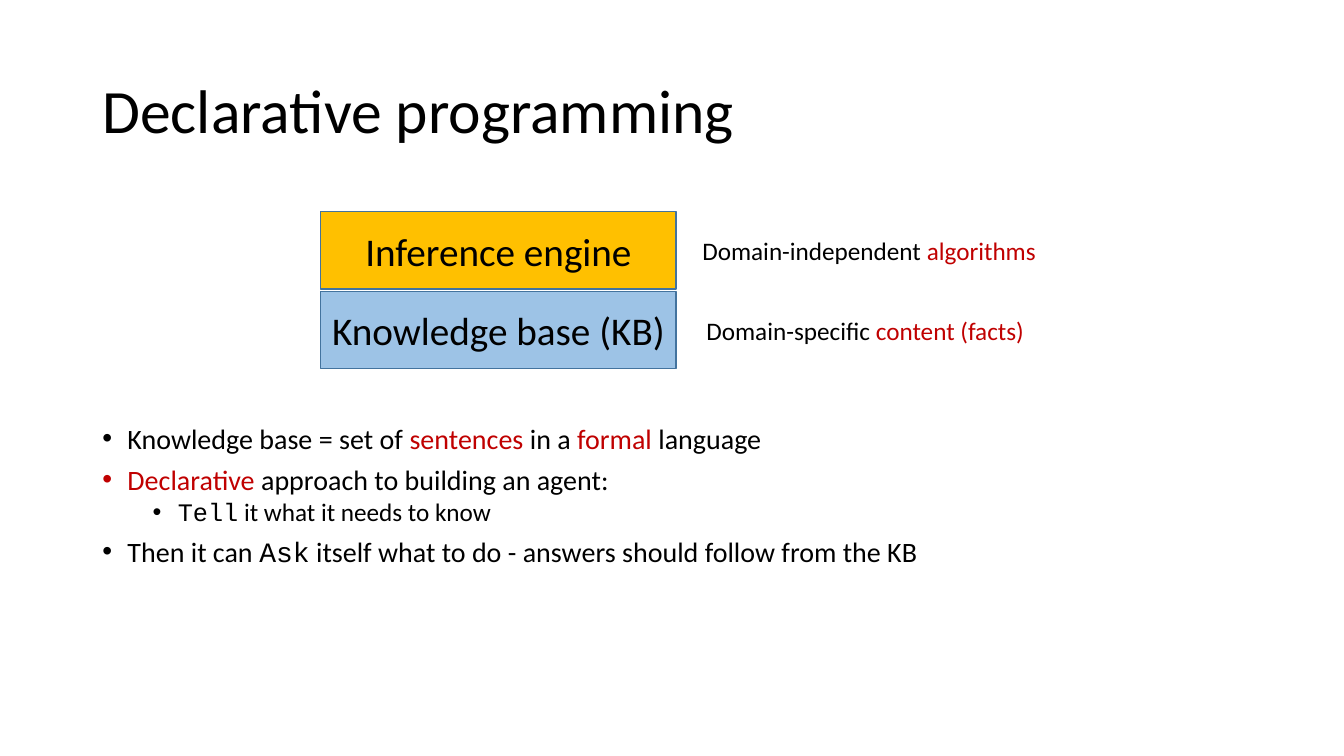
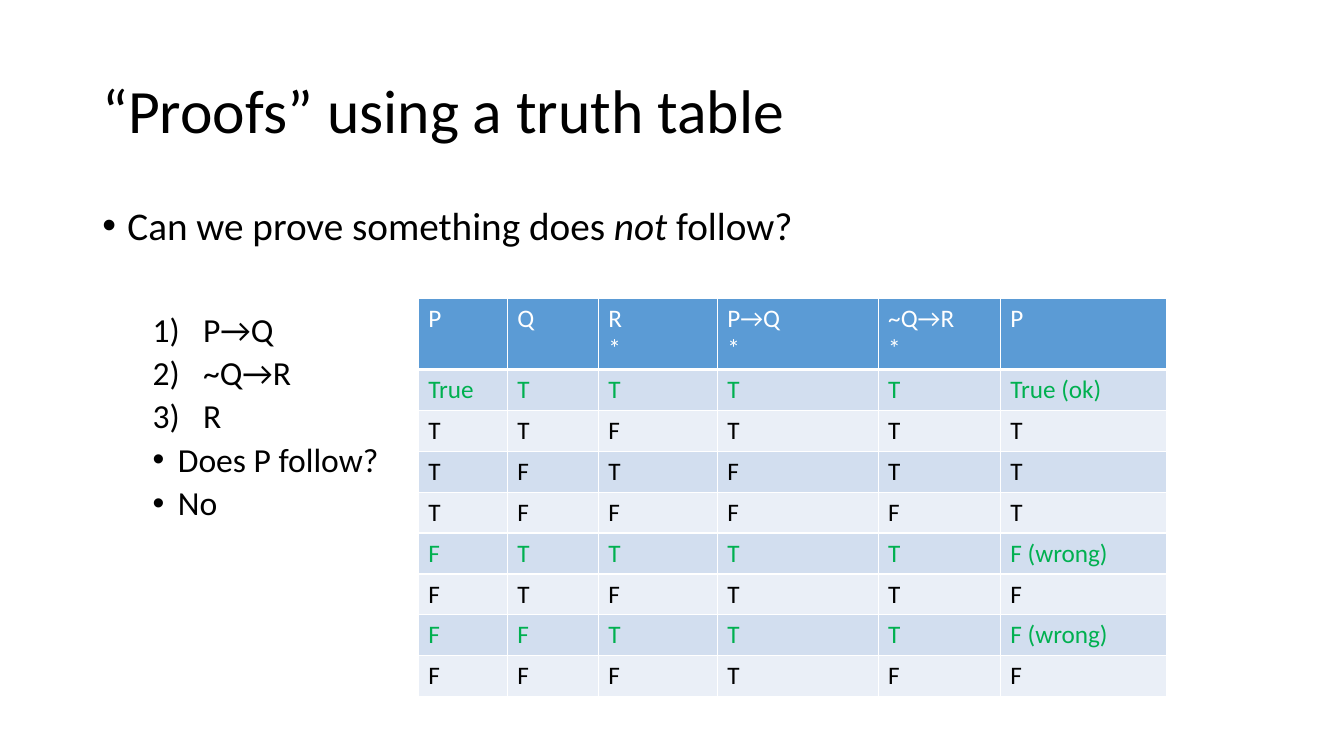
from lxml import etree
from pptx import Presentation
from pptx import util as u
from pptx.dml.color import RGBColor
from pptx.enum import shapes, text
from pptx.oxml import ns

COLORS = {
    "black": "000000", "white": "FFFFFF", "red": "C00000", "green": "00B050",
    "gold": "FFC000", "sky": "9DC3E6", "outline": "43739E",
    "header": "5B9BD5", "band_dark": "D2DEEF", "band_light": "EAEFF7",
}
RED = {"color": "red"}
CODE = {"name": "Courier New"}
LEFT, WIDTH = 66, 828


def rgb(name):
    return RGBColor.from_string(COLORS[name])


def add_xml(parent, tag, **attributes):
    return etree.SubElement(parent, ns.qn(tag), attributes)


class SlideBuilder:
    """Holds the deck, the current slide and the shared text style."""

    font = "Calibri"

    def __init__(self):
        self.deck = Presentation()
        self.deck.slide_width, self.deck.slide_height = u.Pt(960), u.Pt(540)
        self.slide = None

    def start(self, title):
        title_only = self.deck.slide_layouts[5]
        self.slide = self.deck.slides.add_slide(title_only)
        box = self.slide.shapes.title
        box.left, box.top = u.Pt(LEFT), u.Pt(29)
        box.width, box.height = u.Pt(WIDTH), u.Pt(104)
        frame = box.text_frame
        frame.auto_size = text.MSO_AUTO_SIZE.NONE
        frame.vertical_anchor = text.MSO_ANCHOR.MIDDLE
        para = frame.paragraphs[0]
        para.alignment = text.PP_ALIGN.LEFT
        para.line_spacing = 0.9
        self.add_spans(para, [title], 44)

    def add_spans(self, para, spans, size):
        """Fill a paragraph with strings or (string, style) pairs."""
        para.font.name, para.font.size = self.font, u.Pt(size)
        para.font.color.rgb = rgb("black")
        for span in spans:
            words, style = (span, {}) if isinstance(span, str) else span
            run = para.add_run()
            run.text = words
            if "color" in style:
                run.font.color.rgb = rgb(style["color"])
            if "name" in style:
                run.font.name = style["name"]
            if "bold" in style:
                run.font.bold = style["bold"]
            if "italic" in style:
                run.font.italic = style["italic"]

    def label(self, left, top, width, height, spans, size):
        box = self.slide.shapes.add_textbox(*map(u.Pt, (left, top, width, height)))
        box.text_frame.word_wrap = True
        self.add_spans(box.text_frame.paragraphs[0], spans, size)

    def block(self, left, top, width, height, words, fill):
        box = self.slide.shapes.add_shape(
            shapes.MSO_SHAPE.RECTANGLE, *map(u.Pt, (left, top, width, height)))
        box.shadow.inherit = False
        box.fill.solid()
        box.fill.fore_color.rgb = rgb(fill)
        box.line.color.rgb, box.line.width = rgb("outline"), u.Pt(1)
        box.text_frame.vertical_anchor = text.MSO_ANCHOR.MIDDLE
        para = box.text_frame.paragraphs[0]
        para.alignment = text.PP_ALIGN.CENTER
        self.add_spans(para, [words], 28)

    def bullets(self, top, height, items, spacing):
        """Items are (spans, size, level, space before, numbered)."""
        box = self.slide.shapes.add_textbox(*map(u.Pt, (LEFT, top, WIDTH, height)))
        frame = box.text_frame
        frame.word_wrap = True
        for index, (spans, size, level, before, numbered) in enumerate(items):
            para = frame.add_paragraph() if index else frame.paragraphs[0]
            para.level = level
            para.line_spacing, para.space_before = spacing, u.Pt(before)
            hanging = 36 if numbered else 18
            properties = para._p.get_or_add_pPr()
            properties.set("marL", str(u.Pt(36 * level + hanging)))
            properties.set("indent", str(-u.Pt(hanging)))
            if numbered:
                add_xml(properties, "a:buFont", typeface=self.font)
                add_xml(properties, "a:buAutoNum", type="arabicParenR")
            else:
                add_xml(properties, "a:buFont", typeface="Arial")
                add_xml(properties, "a:buChar", char="•")
            self.add_spans(para, spans, size)

    def border(self, cell, bottom):
        properties = cell._tc.get_or_add_tcPr()
        for side in "LRTB":
            width = bottom if side == "B" else 1
            line = add_xml(properties, f"a:ln{side}", w=str(u.Pt(width)))
            fill = add_xml(line, "a:solidFill")
            add_xml(fill, "a:srgbClr", val=COLORS["white"])

    def table(self, left, top, widths, rows, highlighted):
        """Draw a banded table; the first row is the header."""
        header_height, row_height = 51, 29.2
        height = header_height + row_height * (len(rows) - 1)
        grid = self.slide.shapes.add_table(
            len(rows), len(widths),
            *map(u.Pt, (left, top, sum(widths), height))).table
        grid.horz_banding = False
        for column, width in zip(grid.columns, widths):
            column.width = u.Pt(width)
        for number, values in enumerate(rows):
            grid.rows[number].height = u.Pt(row_height if number else header_height)
            style = {"color": "green" if number in highlighted else "black"}
            fill = "band_dark" if number % 2 else "band_light"
            if number == 0:
                style, fill = {"color": "white", "bold": False}, "header"
            for column, value in enumerate(values):
                cell = grid.cell(number, column)
                self.border(cell, 1 if number else 3)
                cell.fill.solid()
                cell.fill.fore_color.rgb = rgb(fill)
                frame = cell.text_frame
                for index, words in enumerate(value.split("\n")):
                    para = frame.add_paragraph() if index else frame.paragraphs[0]
                    self.add_spans(para, [(words, style)], 18)


def declarative_slide(page):
    page.start("Declarative programming")
    page.bullets(302, 184, [
        (["Knowledge base = set of ", ("sentences", RED), " in a ",
          ("formal", RED), " language"], 20, 0, 10, False),
        ([("Declarative", RED), " approach to building an agent:"], 20, 0, 10, False),
        ([("Tell", CODE), " it what it needs to know"], 18, 1, 5, False),
        (["Then it can ", ("Ask", CODE),
          " itself what to do - answers should follow from the KB"], 20, 0, 10, False),
    ], 0.8)
    layers = [
        ("Inference engine", "gold", 494.6, "Domain-independent ", "algorithms"),
        ("Knowledge base (KB)", "sky", 497.5, "Domain-specific ", "content (facts)"),
    ]
    for index, (name, fill, note_left, scope, content) in enumerate(layers):
        top = 151.2 + 56.9 * index
        page.block(229, top, 254, 55.4, name, fill)
        page.label(note_left, top + 13.4, 261, 29, [scope, (content, RED)], 18)


def truth_table_slide(page):
    page.start("“Proofs” using a truth table")
    page.bullets(144, 343, [
        (["Can we prove something does ", ("not", {"italic": True}), " follow?"],
         28, 0, 10, False),
        (["P→Q"], 24, 1, 46, True),
        (["~Q→R"], 24, 1, 5, True),
        (["R"], 24, 1, 5, True),
        (["Does P follow?"], 24, 1, 5, False),
        (["No"], 24, 1, 5, False),
    ], 0.9)
    rows = [
        ["P", "Q", "R\n*", "P→Q\n*", "~Q→R\n*", "P"],
        ["True", "T", "T", "T", "T", "True (ok)"],
        ["T", "T", "F", "T", "T", "T"],
        ["T", "F", "T", "F", "T", "T"],
        ["T", "F", "F", "F", "F", "T"],
        ["F", "T", "T", "T", "T", "F (wrong)"],
        ["F", "T", "F", "T", "T", "F"],
        ["F", "F", "T", "T", "T", "F (wrong)"],
        ["F", "F", "F", "T", "F", "F"],
    ]
    page.table(298.8, 213, [63.5, 65, 85, 115, 87.3, 118.5], rows, {1, 5, 7})


def main():
    page = SlideBuilder()
    declarative_slide(page)
    truth_table_slide(page)
    page.deck.save("out.pptx")


if __name__ == "__main__":
    main()
